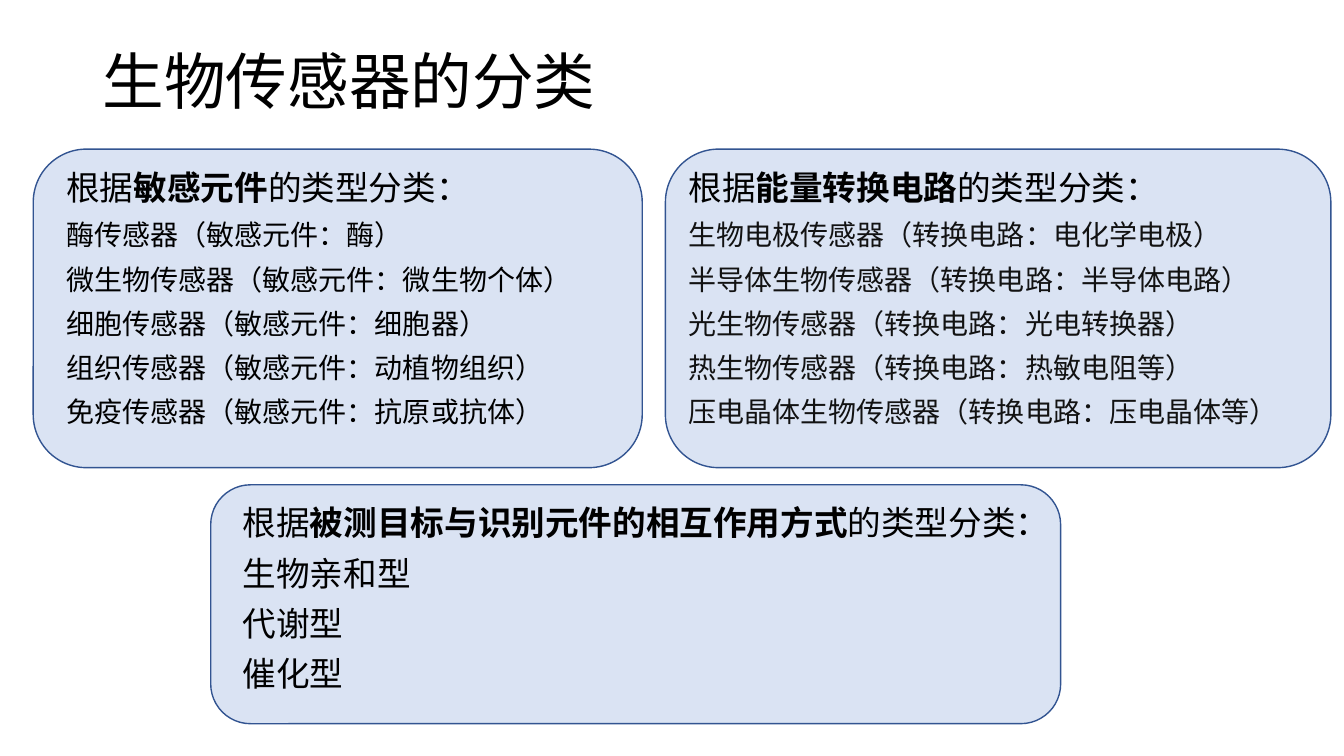
from lxml.etree import SubElement
from pptx import Presentation
from pptx.dml.color import RGBColor
from pptx.enum.lang import MSO_LANGUAGE_ID as LANG
from pptx.enum.shapes import MSO_SHAPE as SHAPE
from pptx.enum.text import MSO_ANCHOR as ANCHOR
from pptx.oxml.ns import qn
from pptx.util import Inches, Pt

FONT = "Noto Sans CJK SC"
BLACK = RGBColor(0x00, 0x00, 0x00)
CHARCOAL = RGBColor(0x12, 0x12, 0x12)
PALE_BLUE = RGBColor(0xDA, 0xE3, 0xF3)
BLUE = RGBColor(0x32, 0x54, 0x91)

WIDTH, HEIGHT = 13.33, 7.5
TOP_ROW, TOP_HEIGHT = 1.48, 3.16
TEXT_DROP = 0.17

SENSING = [
    "酶传感器（敏感元件：酶）",
    "微生物传感器（敏感元件：微生物个体）",
    "细胞传感器（敏感元件：细胞器）",
    "组织传感器（敏感元件：动植物组织）",
    "免疫传感器（敏感元件：抗原或抗体）",
]
CONVERSION = [
    "生物电极传感器（转换电路：电化学电极）",
    "半导体生物传感器（转换电路：半导体电路）",
    "光生物传感器（转换电路：光电转换器）",
    "热生物传感器（转换电路：热敏电阻等）",
    "压电晶体生物传感器（转换电路：压电晶体等）",
]
INTERACTION = ["生物亲和型", "代谢型", "催化型"]


def add_run(p, text, size=24, color=BLACK, bold=False):
    r = p.add_run()
    r.text = text
    font = r.font
    font.size, font.bold, font.name = Pt(size), bold, FONT
    font.color.rgb = color
    font.language_id = LANG.SIMPLIFIED_CHINESE
    SubElement(font._element, qn("a:ea")).set("typeface", FONT)


def add_text_frame(slide, box, anchor=ANCHOR.TOP):
    tf = slide.shapes.add_textbox(*map(Inches, box)).text_frame
    tf.word_wrap = True
    tf.vertical_anchor = anchor
    tf.paragraphs[0].line_spacing = 0.9
    return tf


def add_title(slide, box, text):
    tf = add_text_frame(slide, box, ANCHOR.MIDDLE)
    add_run(tf.paragraphs[0], text, size=44)


def add_category(slide, box, criterion, items, indent, text_width, size=20, color=BLACK):
    left, top, width, height = box
    sp = slide.shapes.add_shape(SHAPE.ROUNDED_RECTANGLE, *map(Inches, box))
    sp.shadow.inherit = False
    sp.fill.solid()
    sp.fill.fore_color.rgb = PALE_BLUE
    sp.line.color.rgb = BLUE
    sp.line.width = Pt(1)

    text_box = (left + indent, top + TEXT_DROP, text_width, height - 2 * TEXT_DROP)
    tf = add_text_frame(slide, text_box)
    heading = tf.paragraphs[0]
    add_run(heading, "根据")
    add_run(heading, criterion, bold=True)
    add_run(heading, "的类型分类：")
    for item in items:
        p = tf.add_paragraph()
        p.line_spacing = 0.9
        p.space_before = Pt(10)
        add_run(p, item, size=size, color=color)


def main():
    prs = Presentation()
    prs.slide_width, prs.slide_height = Inches(WIDTH), Inches(HEIGHT)
    slide = prs.slides.add_slide(prs.slide_layouts[6])
    add_title(slide, (0.92, 0.4, 11.5, 0.87), "生物传感器的分类")
    add_category(slide, (0.33, TOP_ROW, 6.04, TOP_HEIGHT), "敏感元件", SENSING,
                 indent=0.23, text_width=5.65)
    add_category(slide, (6.6, TOP_ROW, 6.6, TOP_HEIGHT), "能量转换电路", CONVERSION,
                 indent=0.13, text_width=6.34, color=CHARCOAL)
    add_category(slide, (2.09, 4.81, 8.43, 2.37), "被测目标与识别元件的相互作用方式",
                 INTERACTION, indent=0.22, text_width=7.97, size=24)
    prs.save("out.pptx")


if __name__ == "__main__":
    main()
